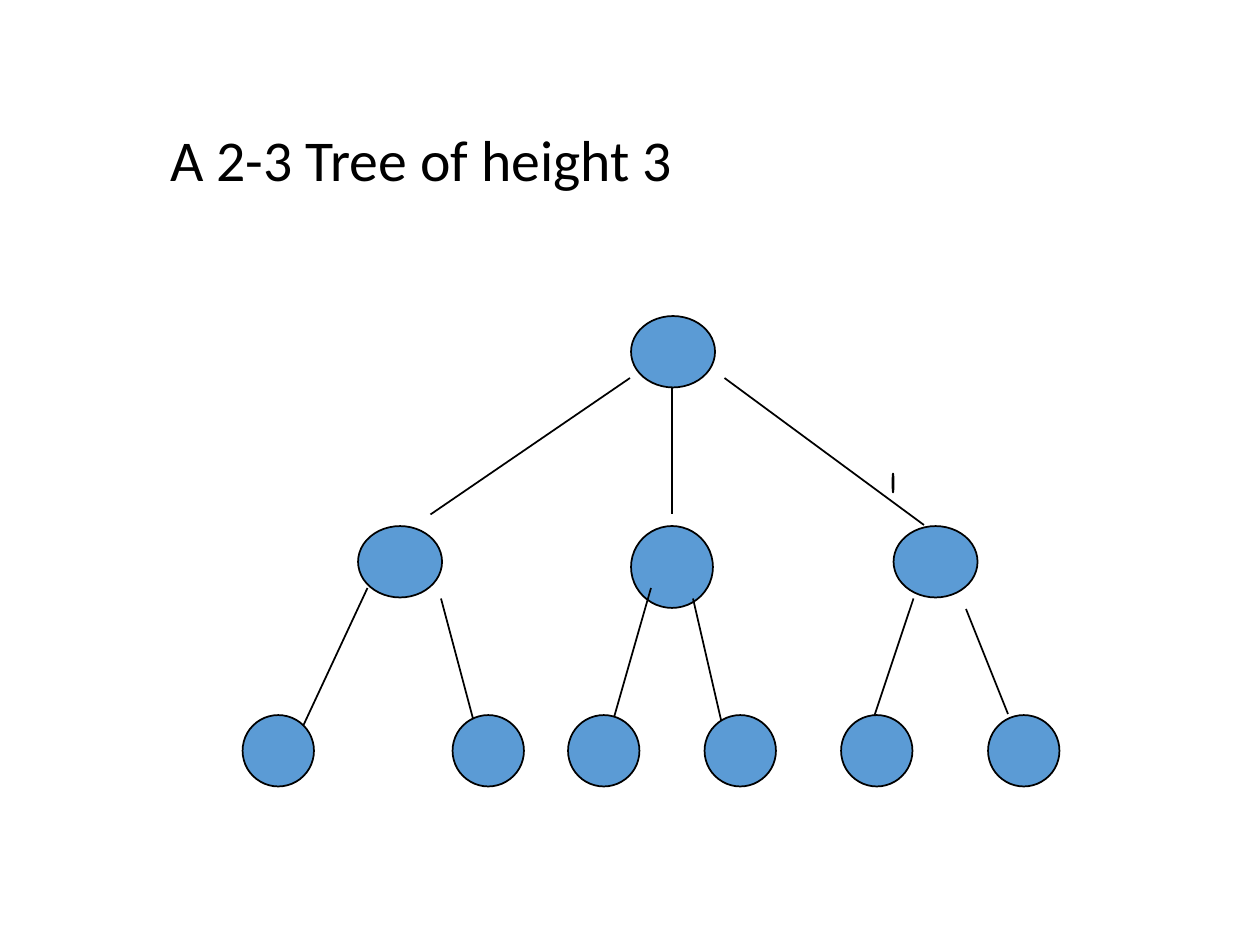
from lxml.etree import SubElement
from pptx import Presentation
from pptx.dml.color import RGBColor
from pptx.enum.shapes import MSO_CONNECTOR, MSO_SHAPE
from pptx.enum.text import MSO_ANCHOR, PP_ALIGN
from pptx.oxml.ns import qn
from pptx.util import Inches, Pt


def color(hex_code):
    return RGBColor.from_string(hex_code)


def write(frame, text, size=33, font="Calibri", ink="000000", align=PP_ALIGN.LEFT):
    frame.word_wrap = True
    frame.vertical_anchor = MSO_ANCHOR.MIDDLE
    paragraph = frame.paragraphs[0]
    paragraph.alignment = align
    paragraph.line_spacing = 0.9
    run = paragraph.add_run()
    run.text = text
    run.font.size = Pt(size)
    run.font.name = font
    run.font.color.rgb = color(ink)


deck = Presentation()
deck.slide_width, deck.slide_height = Inches(10), Inches(7.5)
slide = deck.slides.add_slide(deck.slide_layouts[5])

# The slide is a grid of 120 columns by 90 rows
cell = deck.slide_width / 120

title = slide.shapes.title
title.left, title.top, title.width, title.height = (
    round(n * cell) for n in (15, 8, 102, 15))
write(title.text_frame, "A 2-3 Tree of height 3")

# Each level: branches leading into it (x1, y1, x2, y2),
# then its nodes (left, top, width, height)
leaf_columns = (23.1, 43.1, 54.1, 67.1, 80.1, 94.1)
levels = [
    ([], [(60.1, 30.1, 8, 6.8)]),
    ([(69, 36, 88, 50), (60, 36, 41, 49), (64, 37, 64, 49)],
     [(34.1, 50.1, 8, 6.8), (85, 45.1, 0.1, 1.8),
      (85.1, 50.1, 8, 6.8), (60.1, 50.1, 7.8, 7.8)]),
    ([(35, 56, 28, 71), (42, 57, 46, 72), (62, 56, 58, 70),
      (66, 57, 69, 70), (87, 57, 83, 69), (92, 58, 96, 68)],
     [(column, 68.1, 6.8, 6.8) for column in leaf_columns]),
]

for branches, nodes in levels:
    for ends in branches:
        branch = slide.shapes.add_connector(
            MSO_CONNECTOR.STRAIGHT, *(round(n * cell) for n in ends))
        branch.line.color.rgb = color("000000")
        branch.line.width = Pt(1)
        SubElement(branch._element.spPr, qn("a:effectLst"))
    for box in nodes:
        node = slide.shapes.add_shape(
            MSO_SHAPE.OVAL, *(round(n * cell) for n in box))
        node.shadow.inherit = False
        node.fill.solid()
        node.fill.fore_color.rgb = color("5B9BD5")
        node.line.color.rgb = color("000000")
        node.line.width = Pt(1)

deck.save("out.pptx")
